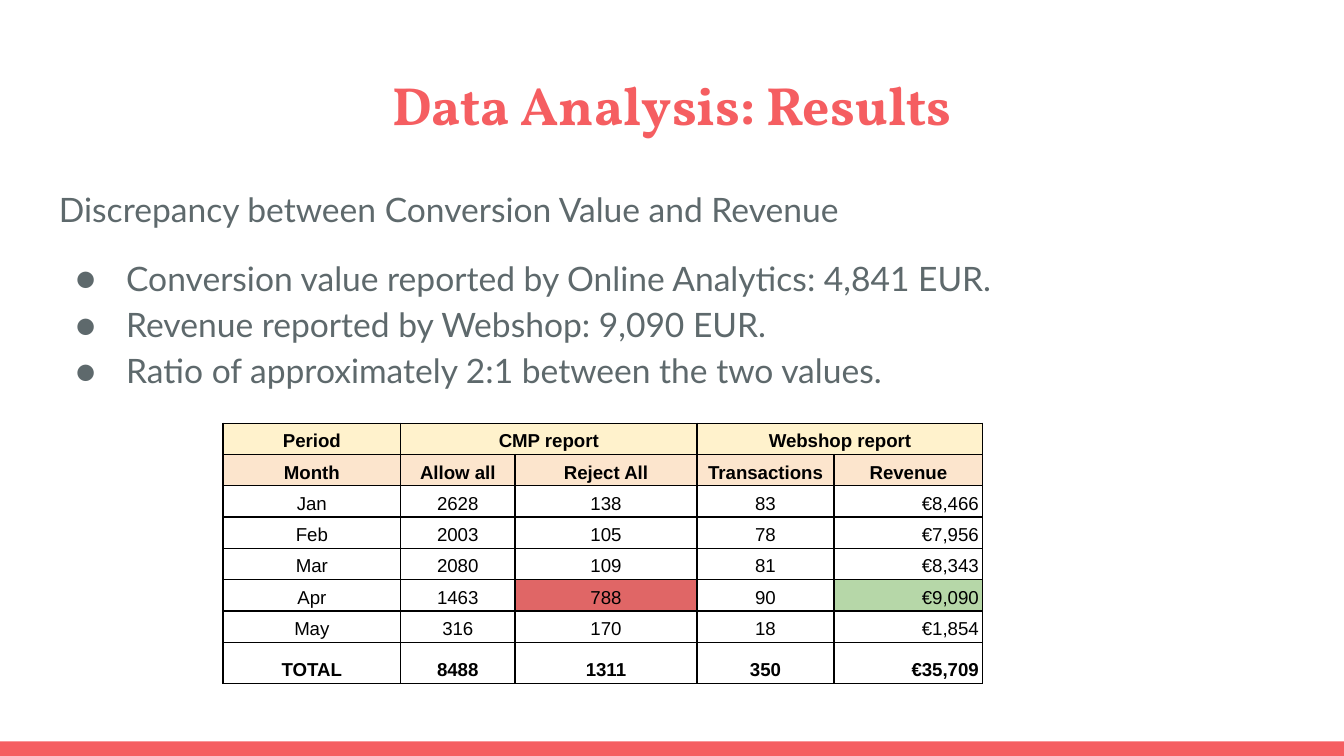
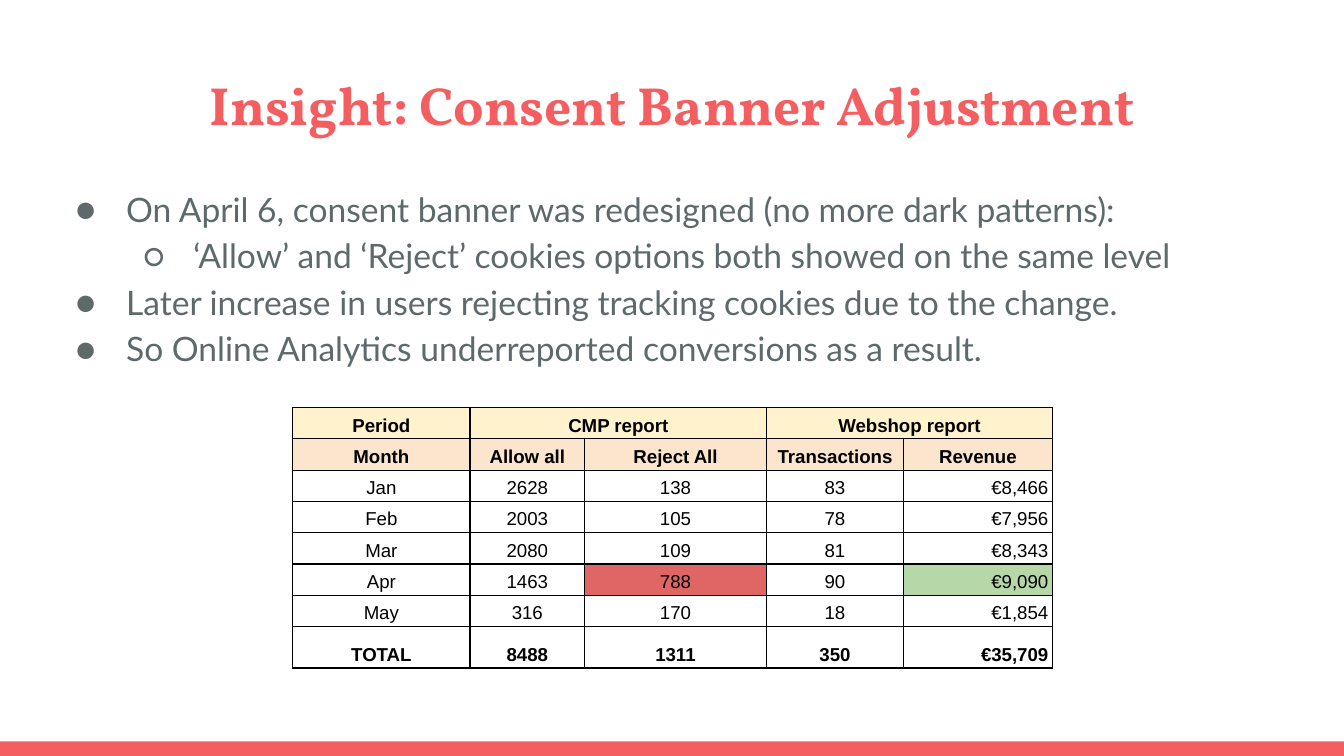
from lxml import etree
from pptx import Presentation
from pptx import util as u
from pptx.dml.color import RGBColor
from pptx.enum import shapes, text
from pptx.oxml import ns

Pt = u.Pt

# Shared look
CORAL = RGBColor(0xF5, 0x5E, 0x61)
SLATE = RGBColor(0x5E, 0x69, 0x6C)
BLACK = RGBColor(0x00, 0x00, 0x00)
CREAM = RGBColor(0xFF, 0xF2, 0xCC)
PEACH = RGBColor(0xFC, 0xE5, 0xCD)
RED = RGBColor(0xE0, 0x66, 0x66)
GREEN = RGBColor(0xB6, 0xD7, 0xA8)

SLIDE_WIDTH, SLIDE_HEIGHT = 720, 405
TITLE_BOX = (24.5, 31, 671, 49)
BODY_BOX = (24.5, 90.75, 671, 269.25)
BAND_BOX = (0, 397.2, SLIDE_WIDTH, 7.8)
TEXT_INSET = 7.2
LINE_SPACING = 1.15
BULLETS = "●○"

# Monthly report
COLUMN_WIDTHS = (95.1, 61.3, 97.5, 73.4, 79.8)
ROW_HEIGHT, TOTAL_HEIGHT = 15.85, 22.1
REPORT = (
    ("Period", "CMP report", "", "Webshop report", ""),
    ("Month", "Allow all", "Reject All", "Transactions", "Revenue"),
    ("Jan", "2628", "138", "83", "€8,466"),
    ("Feb", "2003", "105", "78", "€7,956"),
    ("Mar", "2080", "109", "81", "€8,343"),
    ("Apr", "1463", "788", "90", "€9,090"),
    ("May", "316", "170", "18", "€1,854"),
    ("TOTAL", "8488", "1311", "350", "€35,709"),
)
HEADER_FILLS = (CREAM, PEACH)
HIGHLIGHTS = {(5, 2): RED, (5, 4): GREEN}
TOTAL_ROW = len(REPORT) - 1
REVENUE_COLUMN = len(COLUMN_WIDTHS) - 1

# Slides: title, body lines as (bullet level or None, wording), table corner
SLIDES = (
    ("Data Analysis: Results",
     ((None, "Discrepancy between Conversion Value and Revenue"),
      (0, "Conversion value reported by Online Analytics: 4,841 EUR."),
      (0, "Revenue reported by Webshop: 9,090 EUR."),
      (0, "Ratio of approximately 2:1 between the two values.")),
     (119.5, 226.7)),
    ("Insight: Consent Banner Adjustment",
     ((0, "On April 6, consent banner was redesigned (no more dark patterns):"),
      (1, "‘Allow’ and ‘Reject’ cookies options both showed on the same level"),
      (0, "Later increase in users rejecting tracking cookies due to the change."),
      (0, "So Online Analytics underreported conversions as a result.")),
     (156.75, 218.3)),
)


def points(lengths):
    return [Pt(length) for length in lengths]


def set_font(paragraph, name, size, color, bold=False):
    font = paragraph.font
    font.name, font.size, font.bold = name, Pt(size), bold
    font.color.rgb = color


def add_child(parent, tag, **attributes):
    return etree.SubElement(parent, ns.qn(tag), attributes)


def add_text_frame(slide, box):
    frame = slide.shapes.add_textbox(*points(box)).text_frame
    frame.word_wrap = True
    frame.margin_left = frame.margin_right = Pt(TEXT_INSET)
    frame.margin_top = frame.margin_bottom = Pt(TEXT_INSET)
    return frame


def add_band(slide, box):
    band = slide.shapes.add_shape(shapes.MSO_SHAPE.RECTANGLE, *points(box))
    band.shadow.inherit = False
    band.fill.solid()
    band.fill.fore_color.rgb = CORAL
    band.line.fill.background()


def add_title(slide, box, wording):
    paragraph = add_text_frame(slide, box).paragraphs[0]
    paragraph.text = wording
    paragraph.alignment = text.PP_ALIGN.CENTER
    set_font(paragraph, "Vollkorn", 28.8, CORAL, bold=True)


def set_bullet(paragraph, level):
    paragraph.level = level
    properties = paragraph._p.get_or_add_pPr()
    properties.set("marL", str(Pt(36 * (level + 1))))
    properties.set("indent", str(-Pt(27)))
    color = add_child(properties, "a:buClr")
    add_child(color, "a:srgbClr", val=str(SLATE))
    add_child(properties, "a:buFont", typeface="Lato")
    add_child(properties, "a:buChar", char=BULLETS[level])


def add_body(slide, box, lines):
    frame = add_text_frame(slide, box)
    previous_level = 0
    for index, (level, wording) in enumerate(lines):
        paragraph = frame.add_paragraph() if index else frame.paragraphs[0]
        paragraph.text = wording
        paragraph.line_spacing = LINE_SPACING
        # The first bullet after a plain lead-in stands apart
        paragraph.space_before = Pt(12 if previous_level is None else 0)
        if level is not None:
            set_bullet(paragraph, level)
        set_font(paragraph, "Lato", 18, SLATE)
        previous_level = level


def set_borders(cell):
    properties = cell._tc.get_or_add_tcPr()
    for index, side in enumerate(("a:lnL", "a:lnR", "a:lnT", "a:lnB")):
        line = add_child(properties, side, w=str(Pt(0.75)))
        fill = add_child(line, "a:solidFill")
        add_child(fill, "a:srgbClr", val=str(BLACK))
        properties.insert(index, line)  # borders come before the fill


def format_cell(cell, row, column):
    cell.margin_left = cell.margin_right = Pt(2.25)
    cell.margin_top = cell.margin_bottom = Pt(1.5)
    cell.vertical_anchor = text.MSO_ANCHOR.BOTTOM
    is_header = row < len(HEADER_FILLS)
    color = HEADER_FILLS[row] if is_header else HIGHLIGHTS.get((row, column))
    if color is None:
        cell.fill.background()
    else:
        cell.fill.solid()
        cell.fill.fore_color.rgb = color
    set_borders(cell)

    paragraph = cell.text_frame.paragraphs[0]
    is_amount = column == REVENUE_COLUMN and not is_header
    paragraph.alignment = text.PP_ALIGN.RIGHT if is_amount else text.PP_ALIGN.CENTER
    paragraph.line_spacing = LINE_SPACING
    set_font(paragraph, "Arial", 10, BLACK, bold=is_header or row == TOTAL_ROW)


def add_report(slide, corner):
    heights = [ROW_HEIGHT] * TOTAL_ROW + [TOTAL_HEIGHT]
    box = (*corner, sum(COLUMN_WIDTHS), sum(heights))
    table = slide.shapes.add_table(
        len(REPORT), len(COLUMN_WIDTHS), *points(box)).table
    table.first_row = table.horz_banding = False
    for column, width in zip(table.columns, COLUMN_WIDTHS):
        column.width = Pt(width)
    for row, height in zip(table.rows, heights):
        row.height = Pt(height)
    for row, values in enumerate(REPORT):
        for column, value in enumerate(values):
            cell = table.cell(row, column)
            cell.text = value
            format_cell(cell, row, column)
    # Each report heading covers two columns
    for column in (1, 3):
        table.cell(0, column).merge(table.cell(0, column + 1))


def add_report_slide(presentation, title, lines, table_corner):
    slide = presentation.slides.add_slide(presentation.slide_layouts[6])
    add_band(slide, BAND_BOX)
    add_title(slide, TITLE_BOX, title)
    add_body(slide, BODY_BOX, lines)
    add_report(slide, table_corner)


def main():
    presentation = Presentation()
    presentation.slide_width = Pt(SLIDE_WIDTH)
    presentation.slide_height = Pt(SLIDE_HEIGHT)
    for content in SLIDES:
        add_report_slide(presentation, *content)
    presentation.save("out.pptx")


if __name__ == "__main__":
    main()
